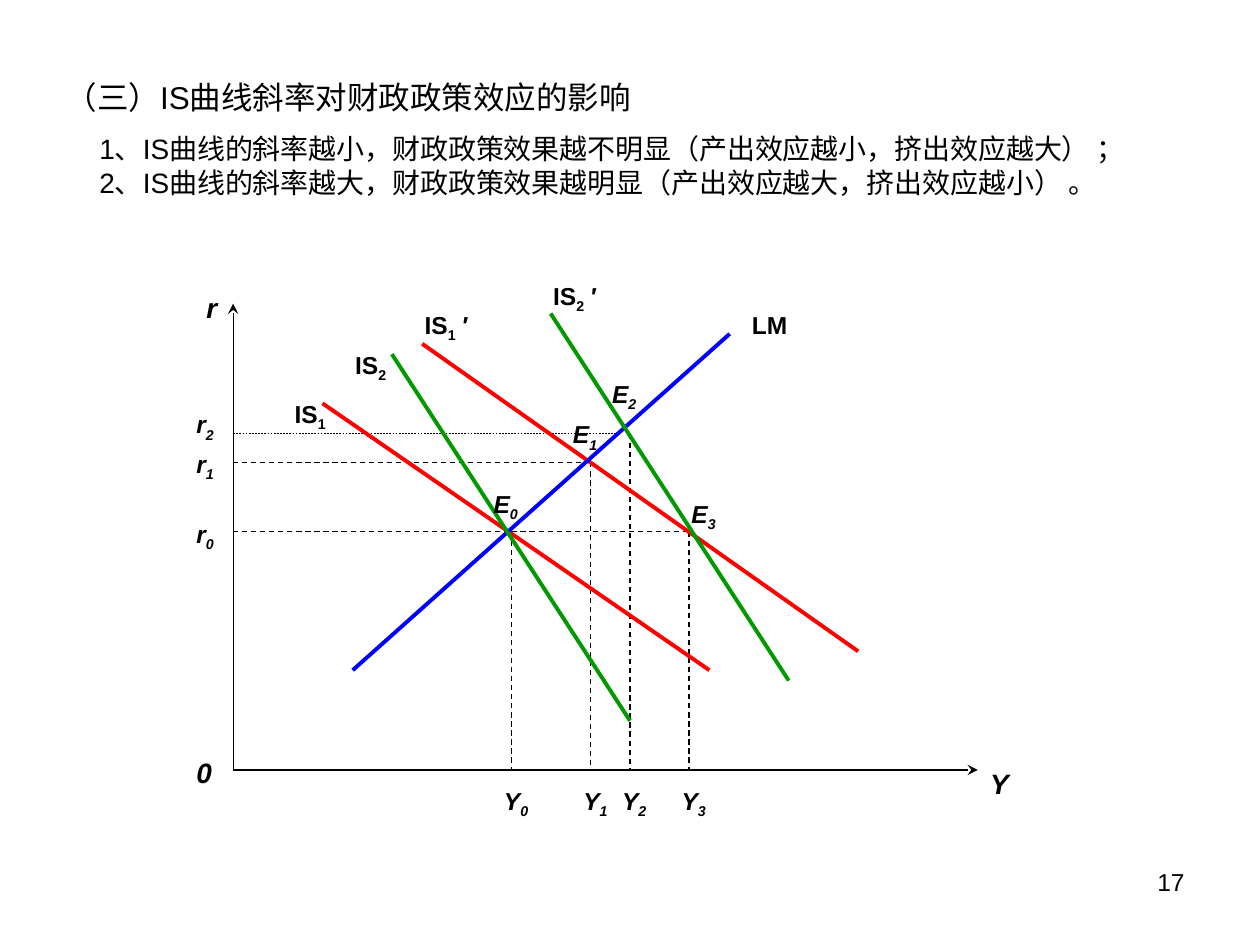
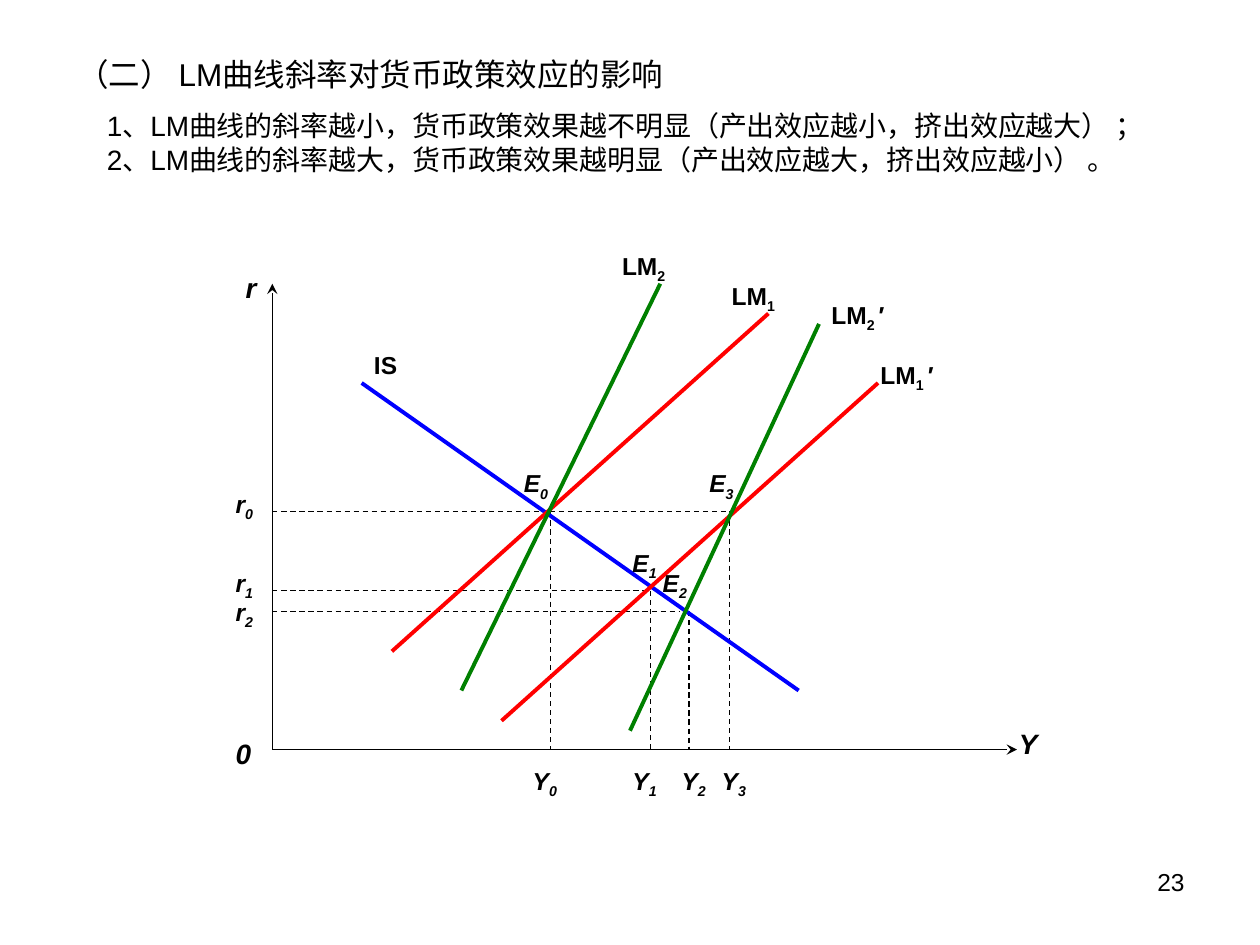
from lxml import etree
from pptx import Presentation
from pptx import util as u
from pptx.dml.color import RGBColor
from pptx.enum import dml, shapes, text
from pptx.oxml.ns import qn

FONT = "Arial"
BLACK = RGBColor(0x00, 0x00, 0x00)
RED = RGBColor(0xFF, 0x00, 0x00)
BLUE = RGBColor(0x00, 0x00, 0xFF)
LIGHT_GREEN = RGBColor(0x00, 0x99, 0x00)
DARK_GREEN = RGBColor(0x00, 0x80, 0x00)
LABEL_WIDTH = 1.2

# Content; all lengths are in cm. "|" separates base, subscript and prime.
# curves: colour, start, end, label, label left, top, width
# guides: row start, row end, column, height, row weight in points
FISCAL = dict(
    number="17",
    title_box=(0.89, 1.12, 23.6, 3.35),
    indents=(0.18, 0.86),
    title="（三）IS曲线斜率对财政政策效应的影响",
    points=["1、IS曲线的斜率越小，财政政策效果越不明显（产出效应越小，挤出效应越大） ；",
            "2、IS曲线的斜率越大，财政政策效果越明显（产出效应越大，挤出效应越小） 。"],
    origin=(4.7, 15.52), top=6.12, right=19.71,
    axis_labels=[("0", 3.71, 15.11), ("Y", 19.71, 15.32), ("r", 3.91, 5.74)],
    curves=[
        (RED, (6.5, 8.13), (14.3, 13.51), "IS|1", 5.69, 7.92, 1.2),
        (RED, (8.51, 6.93), (17.3, 13.13), "IS|1| ′", 8.31, 6.12, 1.8),
        (BLUE, (7.11, 13.51), (14.71, 6.73), "LM", 14.91, 6.12, 1.6),
        (LIGHT_GREEN, (7.9, 7.14), (12.7, 14.53), "IS|2", 6.91, 6.93, 1.4),
        (LIGHT_GREEN, (11.1, 6.32), (15.9, 13.72), "IS|2| ′", 10.9, 5.54, 1.8),
    ],
    guides=[
        (4.7, 10.31, 10.31, 10.72, 0.75),
        (4.7, 11.91, 11.91, 9.32, 0.75),
        (4.7, 12.5, 12.7, 8.74, 0.25),
        (10.31, 13.89, 13.89, 10.72, 0.75),
    ],
    equilibria=[(9.7, 9.73), (11.3, 8.33), (12.09, 7.52), (13.69, 9.93)],
    rate_left=3.71, rate_tops=[10.34, 8.92, 8.13],
    output_top=15.72, output_lefts=[9.91, 11.51, 12.29, 13.49],
)
MONETARY = dict(
    number="23",
    title_box=(1.3, 0.91, 22.86, 2.84),
    indents=(0, 0.6),
    title="（二） LM曲线斜率对货币政策效应的影响",
    points=["1、LM曲线的斜率越小，货币政策效果越不明显（产出效应越小，挤出效应越大） ；",
            "2、LM曲线的斜率越大，货币政策效果越明显（产出效应越大，挤出效应越小） 。"],
    origin=(5.49, 15.11), top=5.72, right=20.5,
    axis_labels=[("0", 4.5, 14.73), ("Y", 20.29, 14.53), ("r", 4.7, 5.33)],
    curves=[
        (BLUE, (7.29, 7.72), (16.1, 13.92), "IS", 7.29, 6.93, 1.2),
        (RED, (10.11, 14.53), (17.7, 7.72), "LM|1 |′", 17.5, 7.14, 2.4),
        (RED, (7.9, 13.13), (15.49, 6.32), "LM|1", 14.5, 5.54, 1.6),
        (DARK_GREEN, (9.3, 13.92), (13.31, 5.72), "LM|2", 12.29, 4.93, 1.6),
        (DARK_GREEN, (12.7, 14.73), (16.51, 6.53), "LM|2 |′", 16.51, 5.92, 2.2),
    ],
    guides=[
        (5.49, 11.1, 11.1, 10.31, 0.75),
        (5.49, 13.11, 13.11, 11.91, 0.75),
        (5.49, 13.69, 13.89, 12.32, 0.75),
        (10.9, 14.71, 14.71, 10.31, 0.75),
    ],
    equilibria=[(10.31, 9.32), (12.5, 10.92), (13.11, 11.33), (14.05, 9.32)],
    rate_left=4.5, rate_tops=[9.73, 11.33, 11.91],
    output_top=15.32, output_lefts=[10.49, 12.5, 13.49, 14.3],
)


def style(para, size, bold=False, italic=False):
    font = para.font
    font.name, font.size = FONT, u.Pt(size)
    font.bold, font.italic = bold, italic
    font.color.rgb = BLACK


def add_line(page, start, end, color=BLACK, weight=0.75, dashed=False, arrow=False):
    line = page.shapes.add_connector(
        shapes.MSO_CONNECTOR.STRAIGHT, *(u.Cm(value) for value in (*start, *end)))
    line.line.color.rgb = color
    line.line.width = u.Pt(weight)
    if dashed:
        line.line.dash_style = dml.MSO_LINE.DASH
    if arrow:
        etree.SubElement(line.line._get_or_add_ln(), qn("a:tailEnd"), type="stealth")
    etree.SubElement(line._element.spPr, qn("a:effectLst"))


def add_box(page, left, top, width, height):
    box = page.shapes.add_textbox(*(u.Cm(value) for value in (left, top, width, height)))
    box.text_frame.word_wrap = True
    return box.text_frame.paragraphs[0]


def add_label(page, label, left, top, width=LABEL_WIDTH, size=14, italic=True):
    para = add_box(page, left, top, width, 0.94 if size == 16 else 0.84)
    for position, part in enumerate(label.split("|")):
        span = para.add_run()
        span.text = part
        if position == 1:
            span._r.get_or_add_rPr().set("baseline", "-25000")
    style(para, size, bold=True, italic=italic)


def add_title(page, content):
    title = page.shapes.title
    title.left, title.top, title.width, title.height = map(u.Cm, content["title_box"])
    frame = title.text_frame
    frame.word_wrap = True
    frame.auto_size = text.MSO_AUTO_SIZE.NONE
    frame.vertical_anchor = text.MSO_ANCHOR.MIDDLE
    frame.text = "\n".join([content["title"], *content["points"]])
    heading_indent, point_indent = content["indents"]
    for index, para in enumerate(frame.paragraphs):
        para.alignment = text.PP_ALIGN.LEFT
        para.space_before = u.Pt(9 if index == 1 else 0)
        indent = point_indent if index else heading_indent
        para._p.get_or_add_pPr().set("marL", str(u.Cm(indent)))
        style(para, 16 if index else 18)


def add_diagram(page, content):
    origin = content["origin"]
    floor = origin[1]

    # Axes
    add_line(page, origin, (origin[0], content["top"]), arrow=True)
    add_line(page, origin, (content["right"], floor), arrow=True)
    for label, left, top in content["axis_labels"]:
        add_label(page, label, left, top, size=16)

    # Dashed guides from the axes to each equilibrium
    for row_start, row_end, column, height, weight in content["guides"]:
        add_line(page, (row_start, height), (row_end, height), weight=weight, dashed=True)
        add_line(page, (column, height), (column, floor), dashed=True)

    # Curves and their names
    for color, start, end, label, left, top, width in content["curves"]:
        add_line(page, start, end, color, 2.25)
        add_label(page, label, left, top, width, italic=False)

    # Numbered equilibria, interest rates and outputs
    numbered = {
        "E": content["equilibria"],
        "r": [(content["rate_left"], top) for top in content["rate_tops"]],
        "Y": [(left, content["output_top"]) for left in content["output_lefts"]],
    }
    for letter, places in numbered.items():
        for index, (left, top) in enumerate(places):
            add_label(page, f"{letter}|{index}", left, top)


def add_page_number(page, number):
    para = add_box(page, 18.21, 17.35, 5.92, 1.32)
    para.text = number
    para.alignment = text.PP_ALIGN.RIGHT
    style(para, 14)


def main():
    deck = Presentation()
    deck.slide_width, deck.slide_height = u.Cm(25.4), u.Cm(19.05)
    title_only = deck.slide_layouts[5]
    for content in (FISCAL, MONETARY):
        page = deck.slides.add_slide(title_only)
        add_title(page, content)
        add_diagram(page, content)
        add_page_number(page, content["number"])
    deck.save("out.pptx")


if __name__ == "__main__":
    main()
